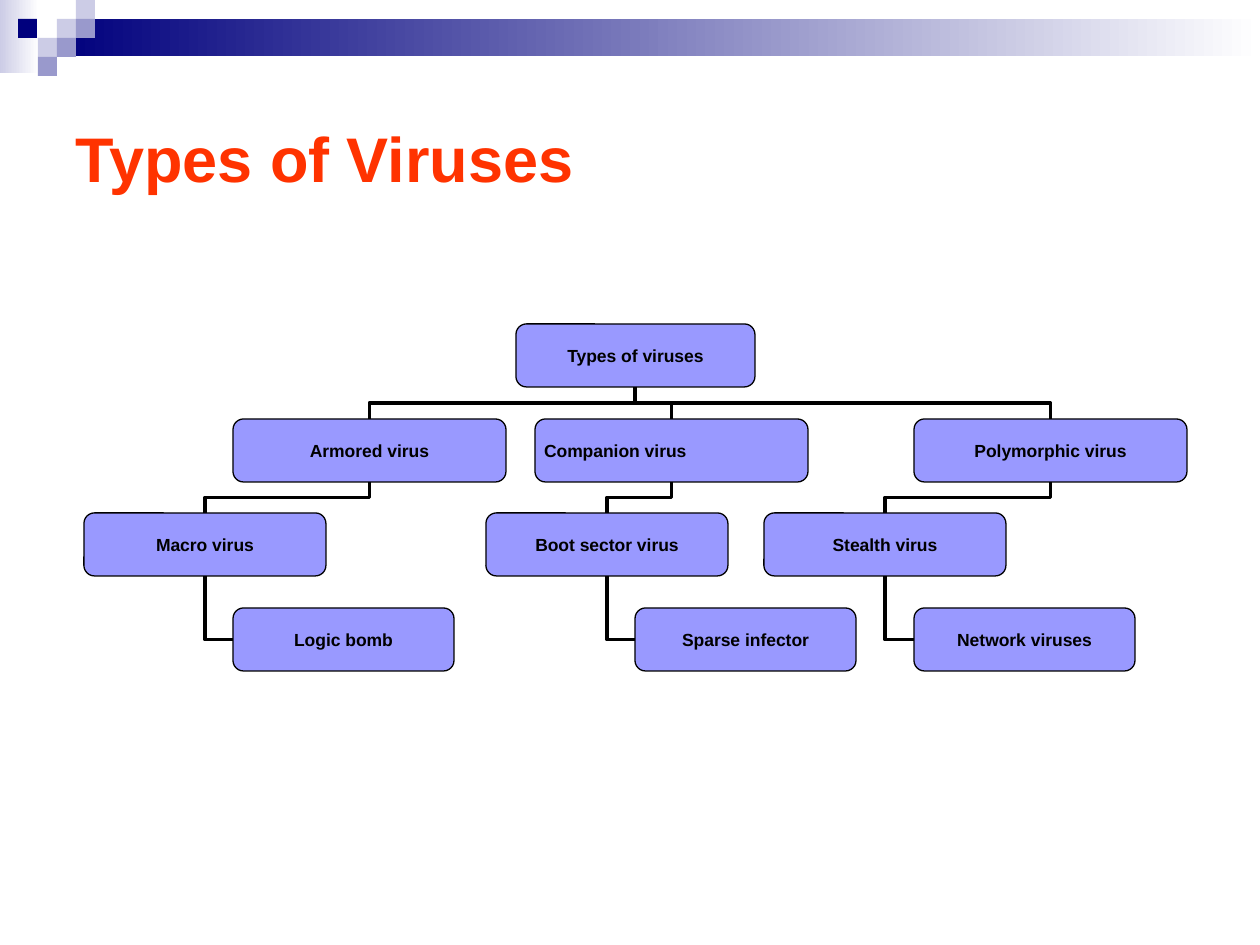
from pptx import Presentation
from pptx import util as u
from pptx.dml.color import RGBColor
from pptx.enum import shapes, text
from pptx.oxml.xmlchemy import OxmlElement

SCALE = 914400 / 126


def px(*lengths):
    return [u.Emu(round(length * SCALE)) for length in lengths]


def color(hex_code):
    return RGBColor.from_string(hex_code)


deck = Presentation()
deck.slide_width, deck.slide_height = px(1260, 945)
slide = deck.slides.add_slide(deck.slide_layouts[6])

for area, start in [((0, 0, 39, 73), "CCCCE6"), ((57, 19, 1203, 37), "00007D")]:
    band = slide.shapes.add_shape(shapes.MSO_SHAPE.RECTANGLE, *px(*area))
    band.shadow.inherit = False
    band.line.fill.background()
    band.fill.gradient()
    band.fill.gradient_angle = 0
    for stop, tint, position in zip(band.fill.gradient_stops, (start, "FFFFFF"), (0, 1)):
        stop.color.rgb = color(tint)
        stop.position = position

mosaic = [(57, 19, "CCCCE6"), (76, 0, "CCCCE6"), (76, 19, "9999CC"), (38, 38, "CCCCE6"),
          (18, 19, "00007D"), (57, 38, "9999CC"), (38, 57, "9999CC")]
for left, top, tint in mosaic:
    tile = slide.shapes.add_shape(shapes.MSO_SHAPE.RECTANGLE, *px(left, top, 19, 19))
    tile.shadow.inherit = False
    tile.line.fill.background()
    tile.fill.solid()
    tile.fill.fore_color.rgb = color(tint)

heading = slide.shapes.add_textbox(*px(63, 63, 1134, 189)).text_frame
heading.word_wrap = True
heading.vertical_anchor = text.MSO_ANCHOR.MIDDLE
heading.text = "Types of Viruses"
heading_font = heading.paragraphs[0].font
for key, value in {"name": "Arial", "size": u.Pt(36), "bold": True}.items():
    setattr(heading_font, key, value)
heading_font.color.rgb = color("FF3300")

level_tops = [324, 419, 513, 608]
level_widths = [239, 273, 242, 221]
viruses = [
    ("Types of viruses", 0, 516, None),
    ("Armored virus", 1, 233, "Types of viruses"),
    ("Companion virus", 1, 535, "Types of viruses"),
    ("Polymorphic virus", 1, 914, "Types of viruses"),
    ("Macro virus", 2, 84, "Armored virus"),
    ("Boot sector virus", 2, 486, "Companion virus"),
    ("Stealth virus", 2, 764, "Polymorphic virus"),
    ("Logic bomb", 3, 233, "Macro virus"),
    ("Sparse infector", 3, 635, "Boot sector virus"),
    ("Network viruses", 3, 914, "Stealth virus"),
]
frame_format = {"word_wrap": True, "vertical_anchor": text.MSO_ANCHOR.MIDDLE}
frame_format.update(zip(("margin_left", "margin_top", "margin_right", "margin_bottom"), px(6, 4, 6, 4)))
label_format = {"name": "Arial", "size": u.Pt(10), "bold": True}

boxes = {}
for label, level, left, parent in viruses:
    box = slide.shapes.add_shape(shapes.MSO_SHAPE.ROUNDED_RECTANGLE,
                                 *px(left, level_tops[level], level_widths[level], 63))
    boxes[label] = box
    box.shadow.inherit = False
    box.fill.solid()
    box.fill.fore_color.rgb = color("9999FF")
    box.line.color.rgb = color("000000")
    box.line.width = u.Pt(0.75)
    for key, value in frame_format.items():
        setattr(box.text_frame, key, value)
    box.text_frame.text = label
    paragraph = box.text_frame.paragraphs[0]
    paragraph.alignment = text.PP_ALIGN.LEFT if label == "Companion virus" else text.PP_ALIGN.CENTER
    for key, value in label_format.items():
        setattr(paragraph.font, key, value)
    paragraph.font.color.rgb = color("000000")

for label, level, left, parent in viruses[1:]:
    child, owner = boxes[label], boxes[parent]
    branch = slide.shapes.add_connector(shapes.MSO_CONNECTOR.ELBOW, 0, 0, 0, 0)
    branch.line.color.rgb = color("000000")
    branch.line.width = u.Pt(2.25)
    properties = branch._element.spPr
    properties.append(OxmlElement("a:effectLst"))
    start_x = owner.left + owner.width // 2
    start_y = owner.top + owner.height
    if level == 3:
        branch.begin_connect(child, 1)
        branch.end_connect(owner, 2)
        placement = {"left": start_x, "top": start_y, "width": child.left - start_x,
                     "height": child.top + child.height // 2 - start_y}
        turn = {"rot": "10800000", "flipH": "0", "flipV": "0"}
        properties.prstGeom.set("prst", "bentConnector2")
    else:
        branch.begin_connect(owner, 2)
        branch.end_connect(child, 0)
        end_x = child.left + child.width // 2
        drop, reach = child.top - start_y, abs(end_x - start_x)
        placement = {"left": (start_x + end_x - drop) // 2, "top": (start_y + child.top - reach) // 2,
                     "width": drop, "height": reach}
        rightward = end_x > start_x
        turn = {"rot": "16200000" if rightward else "5400000", "flipH": str(int(rightward)), "flipV": "0"}
    for key, value in placement.items():
        setattr(branch, key, u.Emu(value))
    for key, value in turn.items():
        properties.xfrm.set(key, value)

deck.save("out.pptx")
